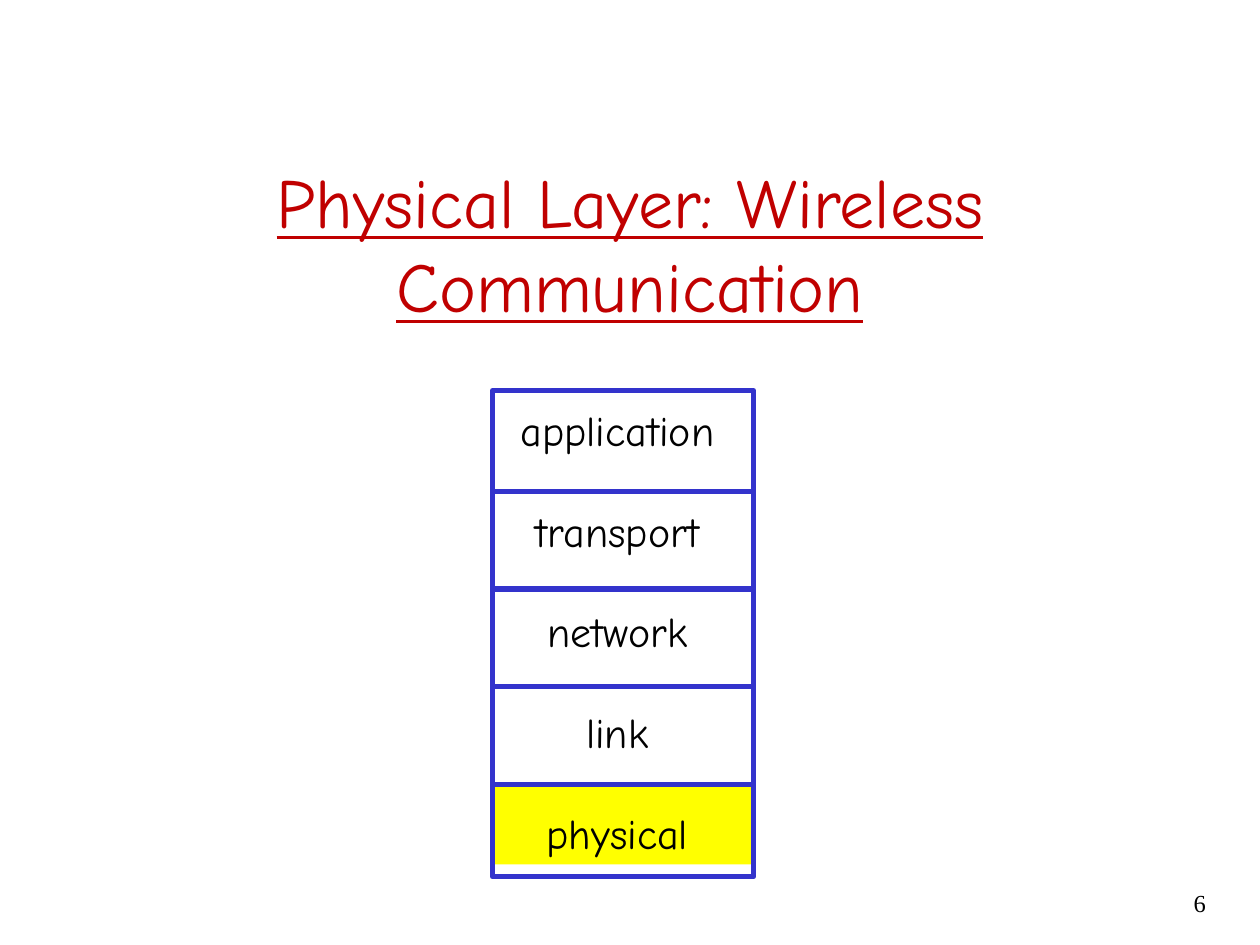
"""Build the wireless physical layer section slide."""
from pptx import Presentation
from pptx.dml.color import RGBColor
from pptx.enum.shapes import MSO_CONNECTOR, MSO_SHAPE
from pptx.enum.text import MSO_ANCHOR, MSO_AUTO_SIZE, PP_ALIGN
from pptx.oxml.ns import qn
from pptx.util import Inches, Pt
from lxml import etree

RED = RGBColor(0xC0, 0x00, 0x00)
BLUE = RGBColor(0x33, 0x33, 0xCC)
YELLOW = RGBColor(0xFF, 0xFF, 0x00)
BLACK = RGBColor(0x00, 0x00, 0x00)
COMIC = "Comic Neue"
TIMES = "Times New Roman"
RECTANGLE = MSO_SHAPE.RECTANGLE
STRAIGHT = MSO_CONNECTOR.STRAIGHT
CENTER, RIGHT = PP_ALIGN.CENTER, PP_ALIGN.RIGHT
MIDDLE, TOP = MSO_ANCHOR.MIDDLE, MSO_ANCHOR.TOP
NO_FIT = MSO_AUTO_SIZE.NONE
LAYERS = ["application", "transport", "network", "link", "physical"]


def place(sp, left, top, width, height):
    """Set position and size in inches."""
    sp.left, sp.top = Inches(left), Inches(top)
    sp.width, sp.height = Inches(width), Inches(height)


def format_text(tf, font, size, color, align, underline=None):
    """Format every paragraph and run of a text frame."""
    for p in tf.paragraphs:
        p.alignment = align
        for r in p.runs:
            r.font.name = font
            r.font.size = Pt(size)
            r.font.color.rgb = color
            r.font.underline = underline


def add_title(s, text):
    """Fill the title, raised by a deep bottom margin."""
    sp = s.shapes.title
    place(sp, 0.93, 0.54, 8.14, 3.44)
    tf = sp.text_frame
    tf.text = text
    tf.auto_size = NO_FIT
    tf.vertical_anchor = MIDDLE
    tf.margin_bottom = Inches(0.72)
    format_text(tf, COMIC, 40, RED, CENTER, True)


def add_box(s, left, top, width, height, fill=None, line=None):
    """Add a rectangle with an optional fill and outline."""
    sp = s.shapes.add_shape(RECTANGLE, Inches(left), Inches(top),
                            Inches(width), Inches(height))
    sp.shadow.inherit = False
    if fill is None:
        sp.fill.background()
    else:
        sp.fill.solid()
        sp.fill.fore_color.rgb = fill
    if line is None:
        sp.line.fill.background()
    else:
        sp.line.color.rgb = line
        sp.line.width = Pt(3)


def add_divider(s, left, right, y):
    """Add a horizontal layer divider."""
    line = s.shapes.add_connector(STRAIGHT, Inches(left), Inches(y),
                                  Inches(right), Inches(y))
    line.line.color.rgb = BLUE
    line.line.width = Pt(3)
    etree.SubElement(line._element.spPr, qn("a:effectLst"))


def add_text(s, text, left, top, width, height, font, size, align, wrap=True):
    """Add a text box and return its text frame."""
    sp = s.shapes.add_textbox(Inches(left), Inches(top),
                              Inches(width), Inches(height))
    tf = sp.text_frame
    tf.text = text
    tf.word_wrap = wrap
    tf.vertical_anchor = TOP
    format_text(tf, font, size, BLACK, align)
    return tf


def add_layer_stack(s):
    """Draw the protocol stack with its bottom layer highlighted."""
    add_box(s, 3.9, 6.22, 2.06, 0.64, fill=YELLOW)
    add_box(s, 3.91, 3.1, 2.07, 3.86, line=BLUE)
    for i in range(len(LAYERS) - 1):
        add_divider(s, 3.91, 5.97, 3.9 + i * 0.775)
    tf = add_text(s, "\n".join(LAYERS), 4.03, 3.16, 1.74, 3.7,
                  COMIC, 24, CENTER, wrap=False)
    for p in tf.paragraphs[1:]:
        p.space_before = Pt(28.8)


def main():
    """Create and save the slide."""
    prs = Presentation()
    prs.slide_width, prs.slide_height = Inches(10), Inches(7.5)
    s = prs.slides.add_slide(prs.slide_layouts[5])
    add_title(s, "Physical Layer: Wireless Communication")
    add_layer_stack(s)
    add_text(s, "6", 8.93, 7, 0.74, 0.5, TIMES, 14, RIGHT)
    prs.save("out.pptx")


main()
